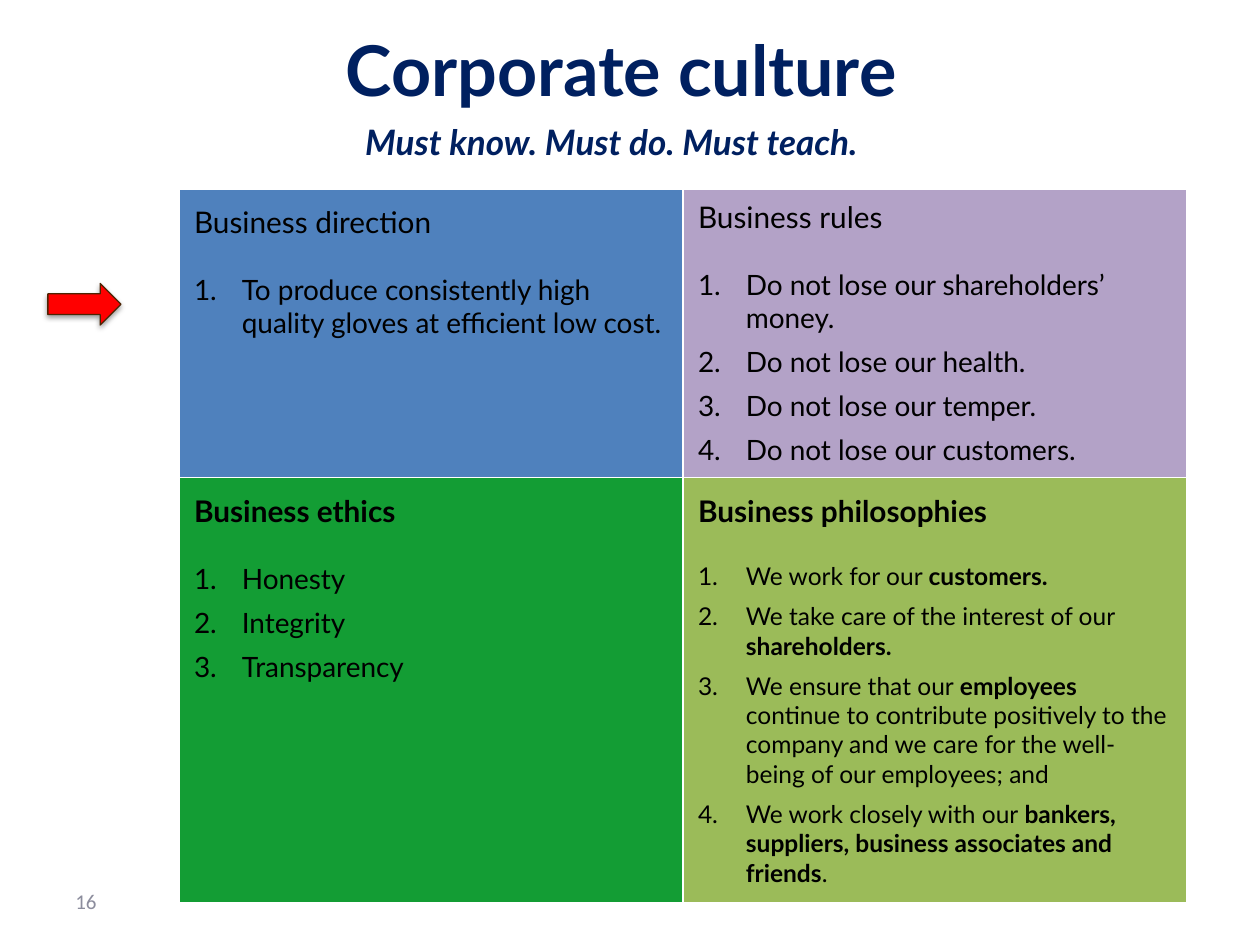
import pptx
import pptx.util
import pptx.dml.color
import pptx.enum.shapes
import pptx.enum.text
import pptx.oxml
import pptx.oxml.ns
import lxml.etree

Inches, Pt = pptx.util.Inches, pptx.util.Pt
ALIGN, ANCHOR = pptx.enum.text.PP_ALIGN, pptx.enum.text.MSO_ANCHOR

HUES = {
    "navy": "002060", "black": "000000", "white": "FFFFFF", "gray": "8C8D9D",
    "red": "FF0000", "brown": "4C2403", "blue": "4F81BD", "purple": "B3A2C7",
    "green": "139D34", "lime": "9BBB59",
}

# Per cell: heading, bold heading, item size, top and bottom margin, fill, items.
# Words between asterisks are bold.
CELLS = [
    [("Business direction", False, 16, 0.12, "blue", [
        "To produce consistently high quality gloves at efficient low cost."]),
     ("Business rules", False, 16, 0.08, "purple", [
         "Do not lose our shareholders’ money.",
         "Do not lose our health.",
         "Do not lose our temper.",
         "Do not lose our customers."])],
    [("Business ethics", True, 16, 0.12, "green", [
        "Honesty", "Integrity", "Transparency"]),
     ("Business philosophies", True, 14, 0.12, "lime", [
         "We work for our *customers.*",
         "We take care of the interest of our *shareholders.*",
         "We ensure that our *employees *continue to contribute positively to "
         "the company and we care for the well-being of our employees; and",
         "We work closely with our *bankers, suppliers, business associates "
         "and friends*."])],
]


def color(name):
    return pptx.dml.color.RGBColor.from_string(HUES[name])


def add_node(parent, tag, **attrs):
    return lxml.etree.SubElement(parent, pptx.oxml.ns.qn(tag), attrs)


def add_shade(effects, blur, dist, alpha):
    """Put a shadow that falls straight down into an effect list."""
    shade = add_node(effects, "a:outerShdw", blurRad=str(Pt(blur)), dist=str(Pt(dist)),
                     dir="5400000", algn="ctr", rotWithShape="0")
    hue = add_node(shade, "a:srgbClr", val=HUES["black"])
    add_node(hue, "a:alpha", val=str(alpha * 1000))


def style(run, hue="black", **look):
    look = {"name": "Lato", "bold": False, **look}
    for key, value in look.items():
        setattr(run.font, key, value)
    run.font.color.rgb = color(hue)


def add_label(slide, box, text, align=ALIGN.LEFT, anchor=ANCHOR.TOP, shade=False, **look):
    frame = slide.shapes.add_textbox(*map(Inches, box)).text_frame
    frame.word_wrap = True
    frame.vertical_anchor = anchor
    para = frame.paragraphs[0]
    para.alignment = align
    run = para.add_run()
    run.text = text
    if shade:
        add_shade(add_node(run.font._element, "a:effectLst"), 3, 3, 50)
    style(run, **look)


def add_item(frame, text, size):
    para = frame.add_paragraph()
    para.space_after = Pt(6)
    props = para._p.get_or_add_pPr()
    props.set("marL", str(Inches(0.38)))
    props.set("indent", str(Inches(-0.38)))
    add_node(props, "a:buFont", typeface="+mj-lt")
    add_node(props, "a:buAutoNum", type="arabicPeriod")
    for i, part in enumerate(text.split("*")):
        if part:
            run = para.add_run()
            run.text = part
            style(run, size=Pt(size), bold=i % 2 == 1)


def add_edges(cell):
    """Draw thin white borders; they must precede the fill."""
    props = cell._tc.get_or_add_tcPr()
    for side in ("L", "R", "T", "B"):
        line = add_node(props, "a:ln" + side, w=str(Pt(1)))
        fill = add_node(line, "a:solidFill")
        add_node(fill, "a:srgbClr", val=HUES["white"])


def fill_cell(cell, head, bold, size, pad, hue, items):
    add_edges(cell)
    cell.fill.solid()
    cell.fill.fore_color.rgb = color(hue)
    cell.margin_left = cell.margin_right = Inches(0.12)
    cell.margin_top = cell.margin_bottom = Inches(pad)
    frame = cell.text_frame
    para = frame.paragraphs[0]
    para.space_after = Pt(19)
    run = para.add_run()
    run.text = head
    style(run, size=Pt(17), bold=bold)
    for item in items:
        add_item(frame, item, size)


def add_grid(slide):
    box = map(Inches, (1.42, 1.5, 8, 5.64))
    table = slide.shapes.add_table(2, 2, *box).table
    table.first_row = table.horz_banding = False
    for row, height in zip(table.rows, (2.27, 3.37)):
        row.height = Inches(height)
    for r, line in enumerate(CELLS):
        for c, data in enumerate(line):
            fill_cell(table.cell(r, c), *data)


def add_arrow(slide):
    kind = pptx.enum.shapes.MSO_SHAPE.RIGHT_ARROW
    arrow = slide.shapes.add_shape(kind, *map(Inches, (0.38, 2.25, 0.58, 0.33)))
    arrow.fill.solid()
    arrow.fill.fore_color.rgb = color("red")
    arrow.line.color.rgb = color("brown")
    arrow.line.width = Pt(0.75)
    arrow.shadow.inherit = False
    add_shade(arrow._element.spPr.find(pptx.oxml.ns.qn("a:effectLst")), 3.1, 1.6, 38)


def main():
    deck = pptx.Presentation()
    deck.slide_width, deck.slide_height = Inches(10), Inches(7.5)
    slide = deck.slides.add_slide(deck.slide_layouts[6])

    # Title and motto
    add_label(slide, (0.43, 0.17, 9, 0.75), "Corporate culture", ALIGN.CENTER,
              ANCHOR.MIDDLE, True, hue="navy", size=Pt(40), bold=True)
    add_label(slide, (2.8, 0.91, 4.65, 0.44), "Must know. Must do. Must teach.",
              hue="navy", size=Pt(20), bold=True, italic=True)

    # Four quadrants and the pointer to the first
    add_grid(slide)
    add_arrow(slide)

    # Page number
    add_label(slide, (0.5, 6.95, 2.33, 0.4), "16", anchor=ANCHOR.MIDDLE,
              hue="gray", size=Pt(12), name="Calibri")

    deck.save("out.pptx")


if __name__ == "__main__":
    main()
